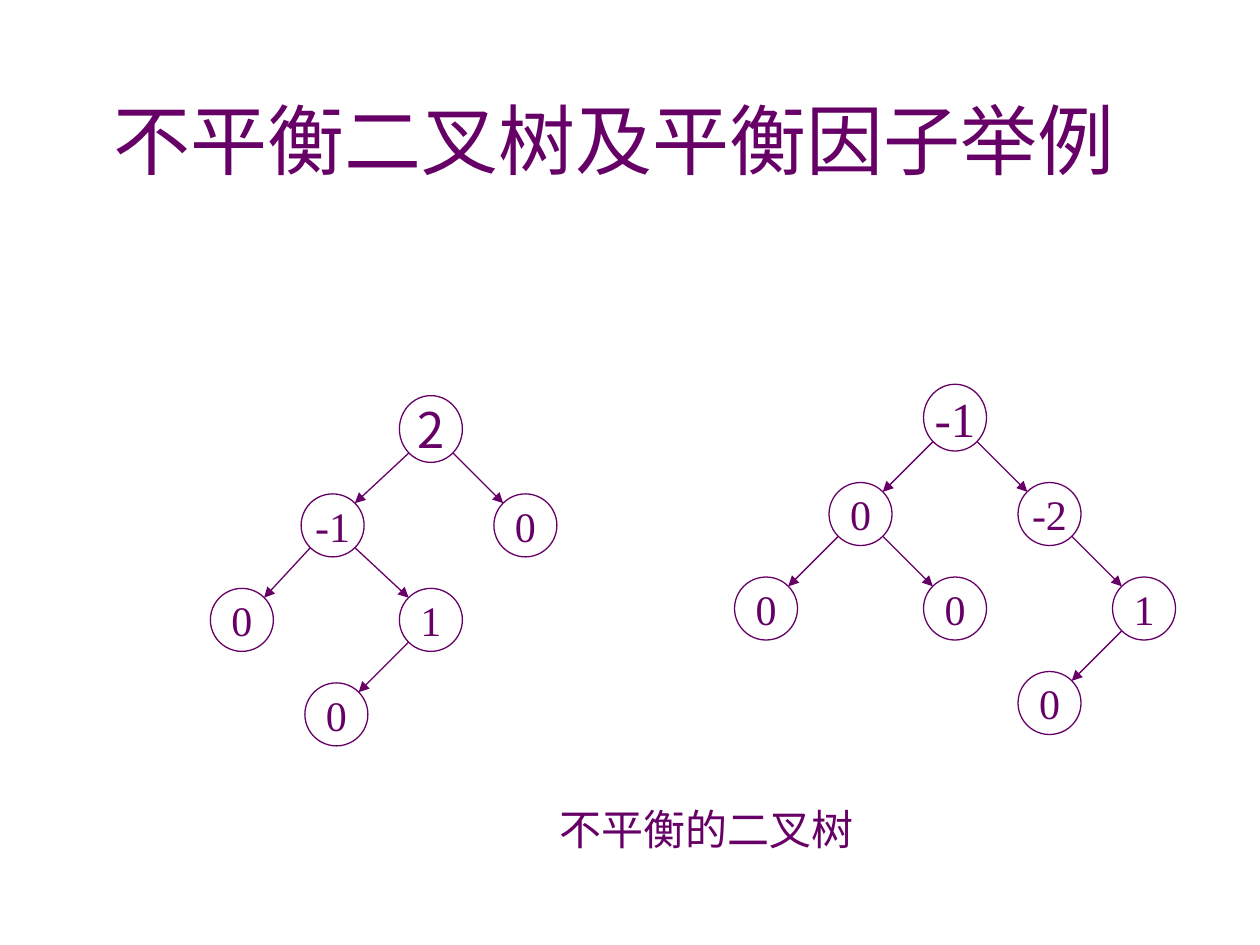
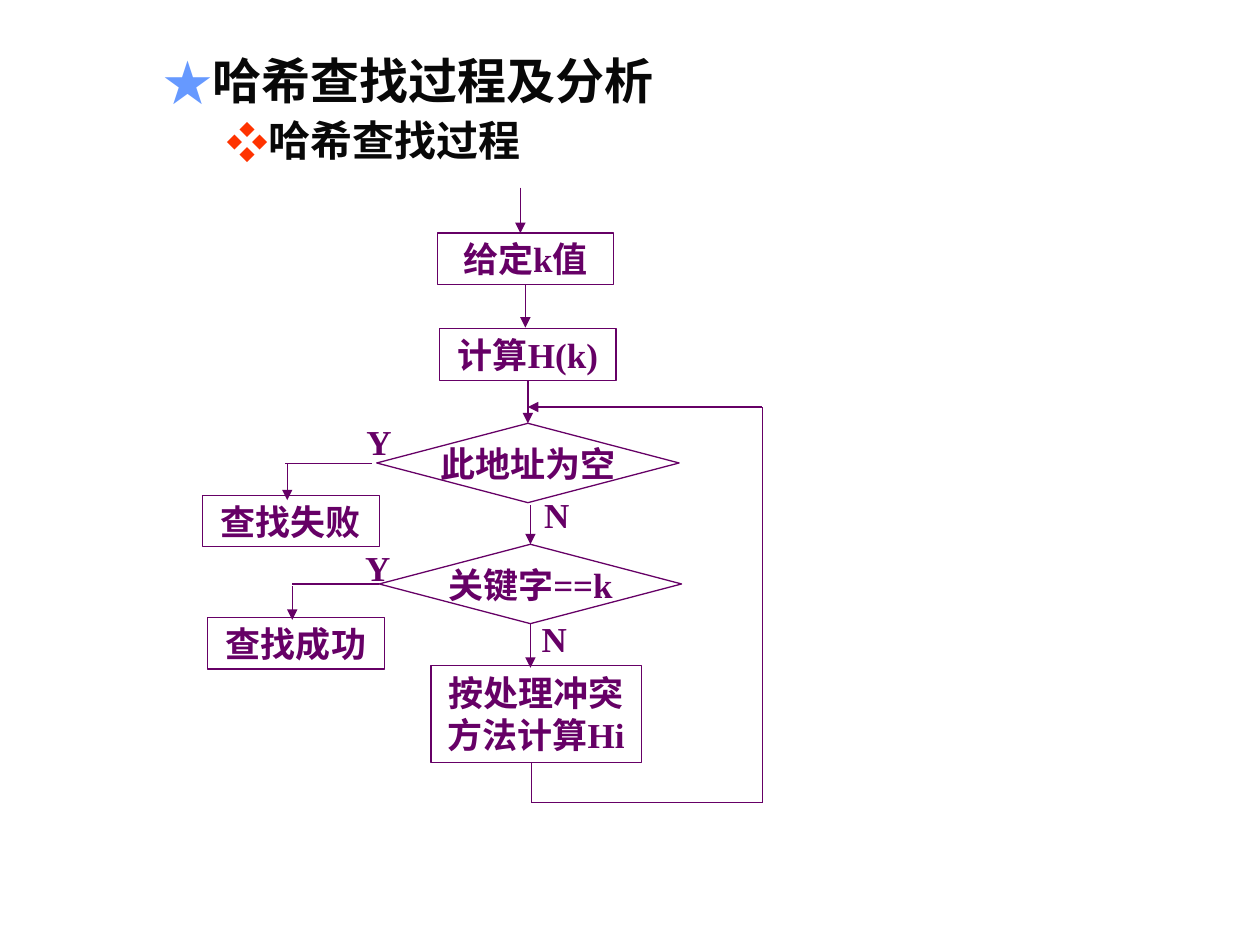
import dataclasses

import pptx
import pptx.dml.color
import pptx.enum.lang
import pptx.enum.shapes
import pptx.enum.text
import pptx.oxml
import pptx.oxml.ns
import pptx.oxml.xmlchemy
import pptx.util

SHAPE = pptx.enum.shapes.MSO_SHAPE
ALIGN = pptx.enum.text.PP_ALIGN
ANCHOR = pptx.enum.text.MSO_ANCHOR
INCH = pptx.util.Inches
WIDE, HIGH = 10, 7.5


@dataclasses.dataclass(frozen=True)
class Theme:
    ink: str = "660066"
    dark: str = "080808"
    star: str = "6699FF"
    gem: str = "FF3300"
    serif: str = "Times New Roman"
    sans: str = "Arial"
    head: str = "Roboto Condensed"
    han: str = "Noto Sans CJK SC"
    title: int = 44
    large: int = 28
    mid: int = 24
    small: int = 20
    rule: float = 0.75


THEME = Theme()


@dataclasses.dataclass(frozen=True)
class Grid:
    """A grid whose origin and cell size are in inches."""
    left: float
    top: float
    step: float

    def spot(self, col, row):
        return INCH(self.left + col * self.step), INCH(self.top + row * self.step)

    def area(self, col, row, cols, rows):
        return *self.spot(col, row), INCH(cols * self.step), INCH(rows * self.step)


PAGE = Grid(0, 0, 1)


def rgb(code):
    return pptx.dml.color.RGBColor.from_string(code)


def tag(parent, name, **attrs):
    item = pptx.oxml.parse_xml(f"<{name} {pptx.oxml.ns.nsdecls('a')}/>")
    for key, value in attrs.items():
        item.set(key, value)
    parent.append(item)
    return item


def write(frame, text, size=THEME.small, face=THEME.serif, color=THEME.ink,
          bold=False, align=ALIGN.LEFT, anchor=ANCHOR.TOP, wrap=False):
    """Fill a frame with one paragraph for each line of text."""
    frame.word_wrap = wrap
    frame.auto_size = pptx.enum.text.MSO_AUTO_SIZE.NONE
    frame.vertical_anchor = anchor
    frame.text = text
    for para in frame.paragraphs:
        para.alignment = align
        for run in para.runs:
            font = run.font
            font.size, font.name, font.bold = pptx.util.Pt(size), face, bold
            font.color.rgb = rgb(color)
            font.language_id = pptx.enum.lang.MSO_LANGUAGE_ID.SIMPLIFIED_CHINESE


def label(slide, area, text, **style):
    write(slide.shapes.add_textbox(*area).text_frame, text, **style)


def node(slide, kind, area, text, **style):
    shape = slide.shapes.add_shape(kind, *area)
    shape.shadow.inherit = False
    shape.fill.background()
    shape.line.color.rgb = rgb(THEME.ink)
    shape.line.width = pptx.util.Pt(THEME.rule)
    write(shape.text_frame, text, align=ALIGN.CENTER, anchor=ANCHOR.MIDDLE, **style)
    return shape


def link(slide, start, end, arrow=True):
    """Draw a line; each end is a point or a (shape, side) pair."""
    ends = [(0, 0) if hasattr(e[0], "shape_id") else e for e in (start, end)]
    line = slide.shapes.add_connector(
        pptx.enum.shapes.MSO_CONNECTOR.STRAIGHT, *ends[0], *ends[1])
    for given, join in ((start, line.begin_connect), (end, line.end_connect)):
        if hasattr(given[0], "shape_id"):
            join(*given)
    line.line.color.rgb = rgb(THEME.ink)
    line.line.width = pptx.util.Pt(THEME.rule)
    if arrow:
        tag(line.line._get_or_add_ln(), "a:tailEnd", type="triangle")
    tag(line._element.spPr, "a:effectLst")


def place(shape, area):
    shape.left, shape.top, shape.width, shape.height = area


def tree(slide, grid, nodes, edges):
    """Draw nodes, given as (text, column, row) of their centres, and edges."""
    for text, col, row, *face in nodes:
        root = row == 0
        rise = 0.04 if root else 0
        node(slide, SHAPE.OVAL,
             grid.area(col - 1 / 3, row - 1 / 3 - rise, 2 / 3, 2 / 3 + rise), text,
             size=THEME.large if root else THEME.mid,
             face=face[0] if face else THEME.serif)
    rim = 0.235
    for above, below in edges:
        (col, row), (goal, base) = nodes[above][1:3], nodes[below][1:3]
        side = rim if goal > col else -rim
        link(slide, grid.spot(col + side, row + rim),
             grid.spot(goal - side, base - rim))


def trees(deck):
    slide = deck.slides.add_slide(deck.slide_layouts[5])
    title = slide.shapes.title
    place(title, PAGE.area(0.8, 0.57, 8.5, 0.9))
    title.text_frame.margin_bottom = 0
    write(title.text_frame, "不平衡二叉树及平衡因子举例", size=THEME.title,
          face=THEME.head, anchor=ANCHOR.BOTTOM, wrap=True)
    tree(slide, Grid(1.92, 3.42, 0.75),
         [("2", 2, 0, THEME.han), ("-1", 0.96, 1), ("0", 3, 1),
          ("0", 0, 2), ("1", 2, 2), ("0", 1, 3)],
         [(0, 1), (0, 2), (1, 3), (1, 4), (4, 5)])
    tree(slide, Grid(6.08, 3.33, 0.75),
         [("-1", 2, 0), ("0", 1, 1), ("-2", 3, 1), ("0", 0, 2),
          ("0", 2, 2), ("1", 4, 2), ("0", 3, 3)],
         [(0, 1), (0, 2), (1, 3), (1, 4), (2, 5), (5, 6)])
    label(slide, PAGE.area(4.34, 6.33, 2.53, 0.5), "不平衡的二叉树", size=THEME.mid)


def heads(body):
    """Set the two bulleted heading lines."""
    place(body, PAGE.area(0.7, 0.4, 9.3, 1.05))
    write(body.text_frame, "哈希查找过程及分析\n哈希查找过程", size=THEME.large,
          face=THEME.sans, color=THEME.dark, bold=True, wrap=True)
    looks = [(0, 0.81, 0.31, 0, "★", THEME.star, THEME.large),
             (1, 1.25, 0.25, 6, "❖", THEME.gem, THEME.mid)]
    for para, look in zip(body.text_frame.paragraphs, looks):
        level, left, hang, gap, mark, color, size = look
        para.level = level
        para.space_before = pptx.util.Pt(gap)
        para.line_spacing = 0.9
        props = para._p.get_or_add_pPr()
        props.set("marL", str(INCH(left)))
        props.set("indent", str(-INCH(hang)))
        tag(tag(props, "a:buClr"), "a:srgbClr", val=color)
        tag(props, "a:buFont", typeface=THEME.han)
        tag(props, "a:buChar", char=mark)
        para.runs[0].font.size = pptx.util.Pt(size)


def flow(slide, grid):
    def step(text, col, row, cols=14, rows=4.1, kind=SHAPE.FLOWCHART_PROCESS):
        return node(slide, kind, grid.area(col, row, cols, rows), text, bold=True)

    def test(text, col, row):
        return step(text, col, row, 24, 6.3, SHAPE.FLOWCHART_DECISION)

    top, left, under = 0, 1, 2
    key = step("给定k值", 18.7, 3.5)
    calc = step("计算H(k)", 18.9, 11.1)
    empty = test("此地址为空", 13.9, 18.6)
    same = test("关键字==k", 14.1, 28.2)
    step("查找失败", 0.1, 24.3)
    step("查找成功", 0.5, 34)
    step("按处理冲突\n方法计算Hi", 18.2, 37.8, 16.7, 7.7)

    spot = grid.spot
    link(slide, spot(25.3, -0.1), spot(25.3, 3.5))
    link(slide, (key, under), spot(25.7, 11))
    link(slide, (calc, under), (empty, top))
    link(slide, spot(26.1, 25.1), (same, top))
    link(slide, (same, under), spot(26.1, 38))
    link(slide, spot(13.5, 21.8), spot(6.6, 21.8), arrow=False)
    link(slide, spot(6.8, 21.8), spot(6.8, 24.7))
    link(slide, (same, left), spot(7.2, 31.35), arrow=False)
    link(slide, spot(7.2, 31.5), spot(7.2, 34.2))
    loop = [(26.2, 45.5), (26.2, 48.7), (44.5, 48.7), (44.5, 17.3), (25.9, 17.3)]
    for turn, (here, there) in enumerate(zip(loop, loop[1:]), 1):
        link(slide, spot(*here), spot(*there), arrow=turn == len(loop) - 1)

    for text, col, row in [("Y", 12.1, 17.9), ("N", 26.2, 23.7),
                           ("Y", 12, 27.9), ("N", 26, 33.5)]:
        label(slide, grid.area(col, row, 4, 4.4), text, bold=True)


def search(deck):
    slide = deck.slides.add_slide(deck.slide_layouts[1])
    title = slide.shapes.title._element
    title.getparent().remove(title)
    heads(slide.placeholders[1])
    flow(slide, Grid(1.6, 1.5, 0.1))


def main():
    deck = pptx.Presentation()
    deck.slide_width, deck.slide_height = INCH(WIDE), INCH(HIGH)
    trees(deck)
    search(deck)
    deck.save("out.pptx")


if __name__ == "__main__":
    main()
